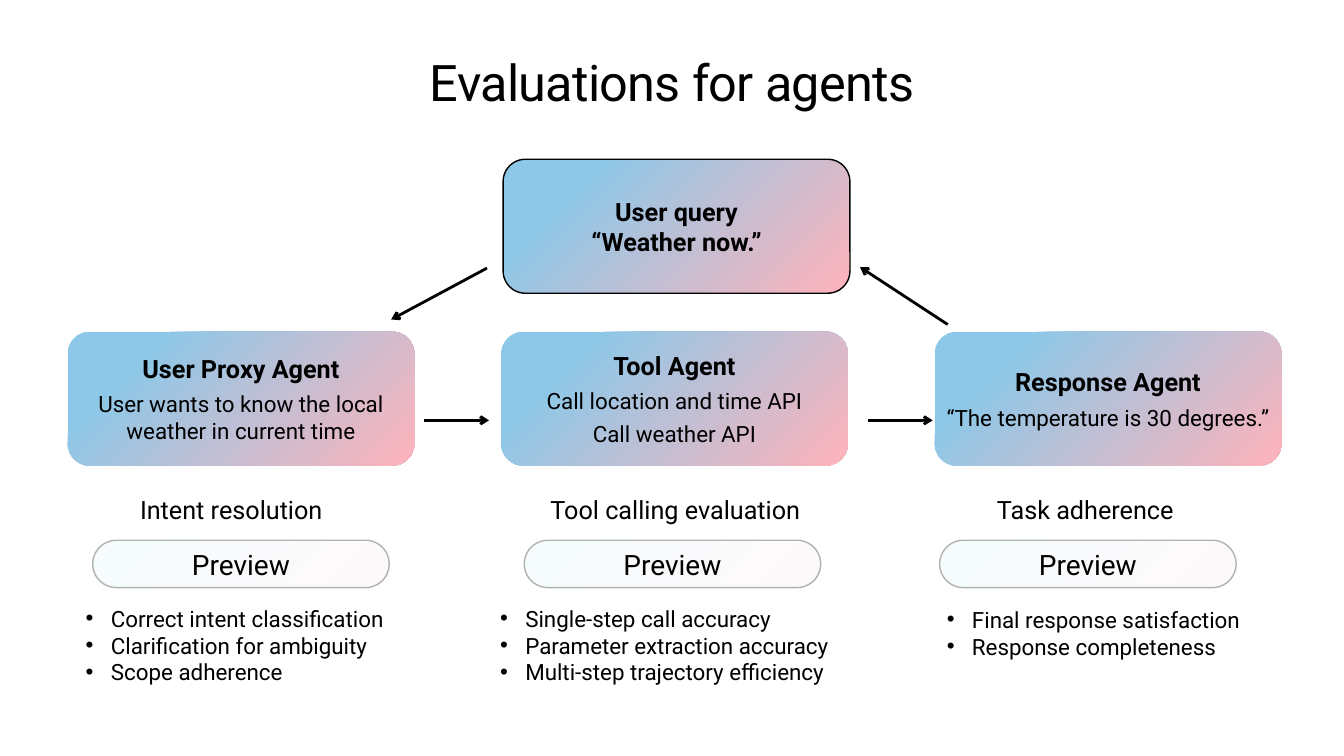
from dataclasses import dataclass
from lxml.etree import SubElement as Sub
from pptx import Presentation
from pptx.dml.color import RGBColor as Rgb
from pptx.enum.shapes import MSO_CONNECTOR as Conn, MSO_SHAPE as Kind
from pptx.enum.text import MSO_ANCHOR as Anchor, MSO_AUTO_SIZE as Fit, PP_ALIGN as Align
from pptx.oxml.ns import qn
from pptx.util import Inches, Pt


@dataclass(frozen=True)
class Theme:
    font: str = "Roboto"
    ink: str = "000000"
    edge: str = "B1B3B3"
    card: tuple = ("FFB3BB", "8DC8E8")
    pill: tuple = ("FFC6CC", "A9D5ED")
    title: int = 36
    badge: int = 20
    head: int = 18
    body: int = 16


@dataclass(frozen=True)
class Box:
    """A place on a grid of tenth-inch columns and rows."""
    x: float
    y: float
    w: float
    h: float

    def inner(self, dx, dy, w, h):
        return Box(self.x + dx, self.y + dy, w, h)

    def units(self):
        return [cell(n) for n in (self.x, self.y, self.w, self.h)]


THEME = Theme()
WIDE, HIGH = 133.3, 75
CARD_W, CARD_H, PITCH = 34.4, 13.3, 43
LEFT, TOP = 6.7, 32.9

# Each stage: card title, card lines, side inset, then heading, checks,
# and the (dx, width) of heading, pill and list, and the list's dy.
STAGES = [
    ("User Proxy Agent", ["User wants to know the local weather in current time"], 1,
     "Intent resolution",
     ["Correct intent classification", "Clarification for ambiguity", "Scope adherence"],
     (6.2, 21.9), (2.5, 29.4), (0.8, 33.6), 26.6),
    ("Tool Agent", ["Call location and time API", "Call weather API"], 0,
     "Tool calling evaluation",
     ["Single-step call accuracy", "Parameter extraction accuracy",
      "Multi-step trajectory efficiency"],
     (3.9, 28.5), (2.3, 29.4), (-1.1, 37.7), 26.6),
    ("Response Agent", ["“The temperature is 30 degrees.”"], 0,
     "Task adherence",
     ["Final response satisfaction", "Response completeness"],
     (5.2, 20), (0.5, 29.4), (0.2, 33.8), 26.7),
]


def cell(n):
    return Inches(n / 10)


def write(frame, lines, size, bold=False, align=Align.LEFT, anchor=Anchor.TOP,
          inset=(1, 0.5), before=0, bullet=False, track=0, more=False):
    """Write one paragraph a line; more=True adds below the text already there."""
    frame.word_wrap = True
    frame.auto_size = Fit.NONE
    frame.vertical_anchor = anchor
    frame.margin_left = frame.margin_right = cell(inset[0])
    frame.margin_top = frame.margin_bottom = cell(inset[1])
    for i, line in enumerate(lines):
        para = frame.add_paragraph() if i or more else frame.paragraphs[0]
        if bullet:
            props = para._p.get_or_add_pPr()
            props.set("marL", str(cell(2.5)))
            props.set("indent", str(cell(-2.5)))
            Sub(props, qn("a:buFont"), typeface="Arial")
            Sub(props, qn("a:buChar"), char="•")
        para.alignment = align
        para.space_before = Pt(before)
        run = para.add_run()
        run.text = line
        font = run.font
        font.name, font.size, font.bold = THEME.font, Pt(size), bold
        font.color.rgb = Rgb.from_string(THEME.ink)
        if track:
            run._r.get_or_add_rPr().set("spc", str(track))


def blend(shape, colors, alpha=None):
    """Fill with a gradient that spreads from the lower right corner."""
    props = shape._element.spPr
    grad = Sub(props, qn("a:gradFill"), rotWithShape="1")
    props.find(qn("a:prstGeom")).addnext(grad)
    stops = Sub(grad, qn("a:gsLst"))
    for spot, color in zip((0, 80), colors):
        stop = Sub(stops, qn("a:gs"), pos=str(spot * 1000))
        tint = Sub(stop, qn("a:srgbClr"), val=color)
        if alpha:
            Sub(tint, qn("a:alpha"), val=str(alpha * 1000))
    way = Sub(grad, qn("a:path"), path="circle")
    Sub(way, qn("a:fillToRect"), l="100000", t="100000")


def panel(slide, box, colors, edge=None, alpha=None):
    shape = slide.shapes.add_shape(Kind.ROUNDED_RECTANGLE, *box.units())
    shape.shadow.inherit = False
    blend(shape, colors, alpha)
    if edge:
        shape.line.color.rgb = Rgb.from_string(edge)
        shape.line.width = Pt(1)
    else:
        shape.line.fill.background()
    return shape


def card(slide, box, heads, lines=(), side=1, edge=None):
    frame = panel(slide, box, THEME.card, edge).text_frame
    look = dict(align=Align.CENTER, anchor=Anchor.MIDDLE, inset=(side, 4))
    write(frame, heads, THEME.head, bold=True, **look)
    write(frame, lines, THEME.body, before=4.8, more=True, **look)


def pill(slide, box):
    shape = panel(slide, box, THEME.pill, THEME.edge, alpha=10)
    shape.adjustments[0] = 0.5
    write(shape.text_frame, ["Preview"], THEME.badge, align=Align.CENTER,
          anchor=Anchor.MIDDLE, inset=(0, 0))


def place(holder, box):
    holder.left, holder.top, holder.width, holder.height = box.units()
    return holder.text_frame


def stage(slide, box, holder, data):
    """Draw an agent card with its heading, pill and list of checks below."""
    name, lines, side, topic, checks, head, badge, items, drop = data
    card(slide, box, [name], lines, side)
    label = slide.shapes.add_textbox(*box.inner(head[0], 15.7, head[1], 4).units())
    write(label.text_frame, [topic], THEME.head)
    pill(slide, box.inner(badge[0], 20.7, badge[1], 4.7))
    frame = place(holder, box.inner(items[0], drop, items[1], 9.1))
    write(frame, checks, THEME.body, bullet=True)


def arrow(slide, *ends):
    link = slide.shapes.add_connector(Conn.STRAIGHT, *[cell(n) for n in ends])
    link.line.color.rgb = Rgb.from_string(THEME.ink)
    link.line.width = Pt(2)
    props = link._element.spPr
    Sub(props.find(qn("a:ln")), qn("a:tailEnd"), type="arrow")
    Sub(props, qn("a:effectLst"))


def flow(slide, query, cards):
    """Join the query and the agent cards into a loop."""
    first, mid, last = cards
    for box, gap in ((first, 1), (mid, 2)):
        start, y = box.x + CARD_W + gap, box.y + 8.8
        arrow(slide, start, y, start + 6.4, y)
    arrow(slide, query.x - 1.6, query.y + 10.8, first.x + 32.1, first.y - 1.2)
    arrow(slide, last.x + 1.3, last.y - 0.7, query.x + 35.4, query.y + 10.7)


def main():
    deck = Presentation()
    deck.slide_width, deck.slide_height = cell(WIDE), cell(HIGH)
    slide = deck.slides.add_slide(deck.slide_layouts.get_by_name("Comparison"))
    title, *holders = slide.placeholders
    write(place(title, Box(6.4, 5, 120.5, 6.1)), ["Evaluations for agents"], THEME.title,
          align=Align.CENTER, anchor=Anchor.MIDDLE, inset=(0, 0), track=-50)

    query = Box(49.9, 15.8, CARD_W, CARD_H)
    card(slide, query, ["User query", "“Weather now.”"], edge=THEME.ink)
    cards = [Box(LEFT + i * PITCH, TOP, CARD_W, CARD_H) for i in range(len(STAGES))]
    for box, holder, data in zip(cards, holders, STAGES):
        stage(slide, box, holder, data)
    for spare in holders[len(STAGES):]:
        spare._element.getparent().remove(spare._element)
    flow(slide, query, cards)
    deck.save("out.pptx")


if __name__ == "__main__":
    main()
